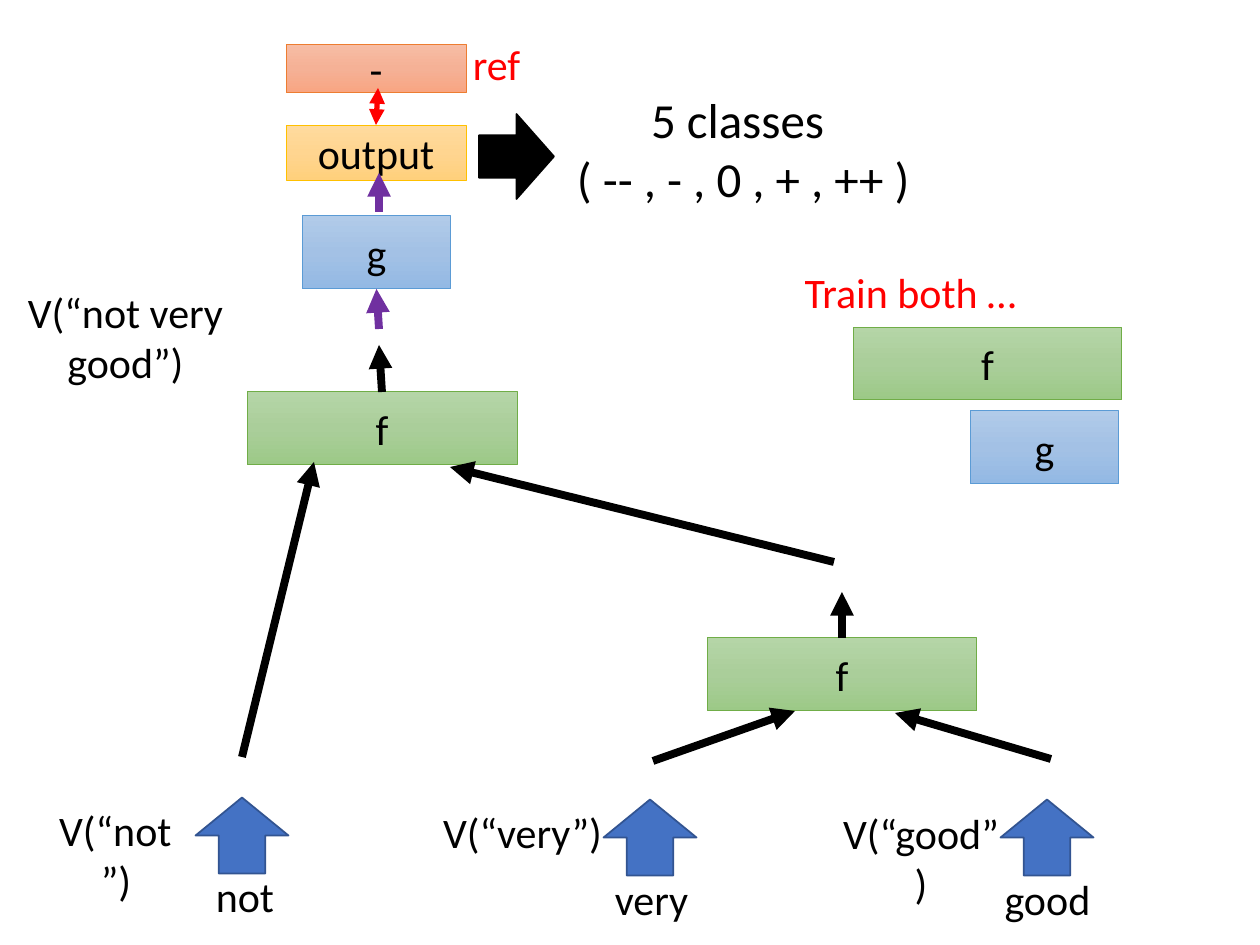
from copy import deepcopy

from lxml import etree
from pptx import Presentation
from pptx.dml.color import RGBColor
from pptx.enum.shapes import MSO_CONNECTOR, MSO_SHAPE
from pptx.enum.text import MSO_ANCHOR, MSO_AUTO_SIZE, PP_ALIGN
from pptx.oxml.ns import qn
from pptx.util import Emu, Pt

RECT, ARROW = MSO_SHAPE.RECTANGLE, MSO_SHAPE.RIGHT_ARROW
STRAIGHT = MSO_CONNECTOR.STRAIGHT
MIDDLE, CENTER = MSO_ANCHOR.MIDDLE, PP_ALIGN.CENTER
FIT = MSO_AUTO_SIZE.SHAPE_TO_FIT_TEXT
TOP, BOTTOM = 0, 2
PX_PER_INCH = 126
FONT = "Calibri"

COLORS = {
    "black": "000000", "red": "FF0000", "purple": "7030A0",
    "blue": "4472C4", "blue_edge": "325491",
}
BOX_COLORS = {
    "green": ("B5D5A7", "AACE9A", "9CC987", "70AD47"),
    "sky": ("B1CBE9", "A3C1E5", "93B9E4", "5B9BD5"),
    "orange": ("F7BDA5", "F5B196", "F8A582", "ED7D31"),
    "gold": ("FFDB9E", "FFD590", "FFD07C", "FFC000"),
}


def px(value):
    """Turn pixels into EMU."""
    return Emu(round(value * 914400 / PX_PER_INCH))


def rgb(value):
    """Turn a hex string into a colour."""
    return RGBColor.from_string(value)


def write(tf, text, size=24, color="black"):
    """Write centred lines of text into a text frame."""
    tf.word_wrap = True
    for i, line in enumerate(text.split("\n")):
        p = tf.paragraphs[0] if i == 0 else tf.add_paragraph()
        p.alignment = CENTER
        r = p.add_run()
        r.text = line
        r.font.name = FONT
        r.font.size = Pt(size)
        r.font.color.rgb = rgb(COLORS[color])


def add_label(s, text, x, y, w, h=63, **fmt):
    """Add a text box that grows with its text."""
    tf = s.shapes.add_textbox(px(x), px(y), px(w), px(h)).text_frame
    write(tf, text, **fmt)
    tf.auto_size = FIT


def add_box(s, text, palette, x, y, w, h):
    """Add a labelled rectangle with a vertical gradient."""
    *shades, edge = BOX_COLORS[palette]
    sp = s.shapes.add_shape(RECT, px(x), px(y), px(w), px(h))
    sp.shadow.inherit = False
    sp.fill.gradient()
    sp.fill.gradient_angle = 270
    first = sp.fill._fill._gradFill.gsLst[0]
    first.addnext(deepcopy(first))
    for stop, shade, pos in zip(sp.fill.gradient_stops, shades, (0, 0.5, 1)):
        stop.color.rgb = rgb(shade)
        stop.position = pos
    sp.line.color.rgb = rgb(edge)
    sp.line.width = Pt(0.5)
    sp.text_frame.vertical_anchor = MIDDLE
    write(sp.text_frame, text)
    return sp


def add_block_arrow(s, x, y, w, h, fill, edge, rotation=0):
    """Add a solid block arrow."""
    sp = s.shapes.add_shape(ARROW, px(x), px(y), px(w), px(h))
    sp.shadow.inherit = False
    sp.rotation = rotation
    sp.fill.solid()
    sp.fill.fore_color.rgb = rgb(COLORS[fill])
    sp.line.color.rgb = rgb(COLORS[edge])
    sp.line.width = Pt(1)


def add_arrow(s, start, end, color="black", width=4.5, ends=("tailEnd",),
              begin_at=None, end_at=None):
    """Add a straight arrow, joined to boxes where they are given."""
    c = s.shapes.add_connector(STRAIGHT, *map(px, start + end))
    c.line.color.rgb = rgb(COLORS[color])
    c.line.width = Pt(width)
    ln = c.line._get_or_add_ln()
    for name in ends:
        etree.SubElement(ln, qn(f"a:{name}"), type="triangle")
    etree.SubElement(c._element.spPr, qn("a:effectLst"))
    if begin_at:
        c.begin_connect(*begin_at)
    if end_at:
        c.end_connect(*end_at)


def add_words(s):
    """Add the input words with their arrows and vectors."""
    for x, y in ((204, 789), (612, 791), (1009, 791)):
        add_block_arrow(s, x, y, 76, 93, "blue", "blue_edge", rotation=270)
    for text, x, y, w in (
        ("V(“not”)", 38, 798, 156), ("V(“very”)", 420, 800, 205),
        ("V(“good”)", 825, 801, 192), ("not", 195, 864, 100),
        ("very", 577, 867, 149), ("good", 973, 867, 149),
    ):
        add_label(s, text, x, y, w)


def add_network(s):
    """Add the recursive network from the words up to the reference."""
    lower_f = add_box(s, "f", "green", 707, 638, 270, 73)
    upper_f = add_box(s, "f", "green", 247, 392, 270, 73)
    for start, end in (
        ((653, 761), (795, 711)), ((1051, 759), (895, 713)),
        ((834, 562), (450, 467)), ((242, 757), (314, 462)),
    ):
        add_arrow(s, start, end)
    add_arrow(s, (842, 638), (842, 592), begin_at=(lower_f, TOP))
    add_arrow(s, (382, 392), (379, 345), begin_at=(upper_f, TOP))
    g = add_box(s, "g", "sky", 302, 216, 149, 73)
    add_box(s, "-", "orange", 286, 44, 180, 49)
    output = add_box(s, "output", "gold", 286, 125, 180, 55)
    add_arrow(s, (379, 212), (379, 173), "purple")
    add_arrow(s, (379, 329), (377, 289), "purple", end_at=(g, BOTTOM))
    add_arrow(s, (378, 88), (376, 125), "red", 3, ("headEnd", "tailEnd"),
              end_at=(output, TOP))


def add_notes_beside(s):
    """Add the classes, the reference mark and the trained parts."""
    add_label(s, "5 classes \n( -- , - , 0 , + , ++ )", 539, 83, 408, 131,
              size=28)
    add_block_arrow(s, 479, 114, 75, 85, "black", "black")
    add_label(s, "ref", 423, 32, 147, color="red")
    add_box(s, "f", "green", 853, 327, 269, 73)
    add_box(s, "g", "sky", 970, 411, 149, 73)
    add_label(s, "Train both …", 765, 260, 291, color="red")
    add_label(s, "V(“not very good”)", -26, 280, 303, 115)


def main():
    """Build the slide."""
    prs = Presentation()
    prs.slide_width, prs.slide_height = px(1260), px(945)
    s = prs.slides.add_slide(prs.slide_layouts[6])
    add_words(s)
    add_network(s)
    add_notes_beside(s)
    prs.save("out.pptx")


if __name__ == "__main__":
    main()
